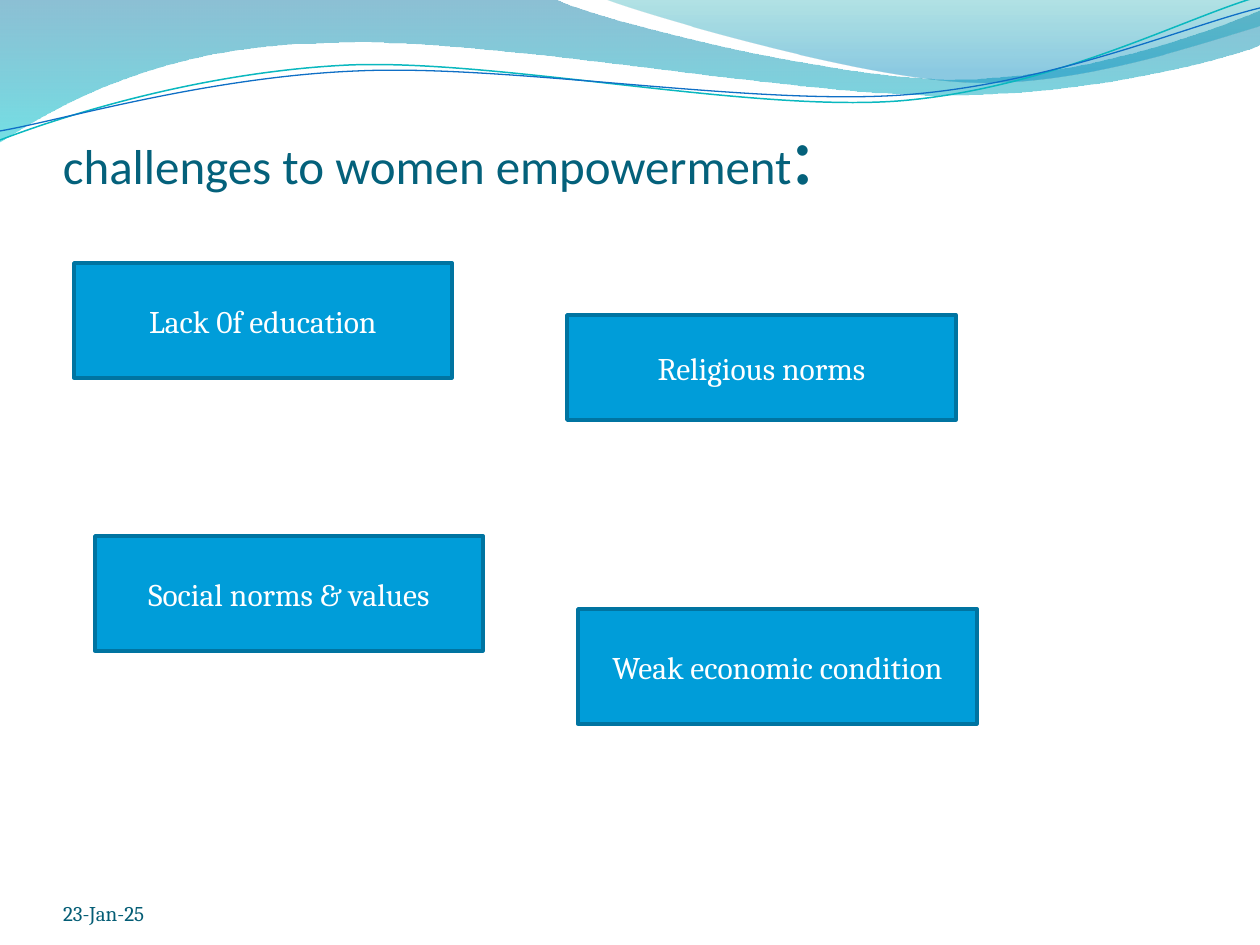
from lxml import etree
from pptx import Presentation
from pptx.dml.color import RGBColor
from pptx.enum.shapes import MSO_SHAPE as SHAPE
from pptx.enum.text import MSO_ANCHOR as ANCHOR, PP_ALIGN as ALIGN
from pptx.oxml.ns import qn
from pptx.util import Pt

PX = 914400 / 126  # EMU per pixel


def rgb(hex_str):
    return RGBColor.from_string(hex_str)


def write(sp, runs, font="Cambria", color="FFFFFF", align=ALIGN.LEFT,
          anchor=ANCHOR.BOTTOM, insets=None):
    """Fill a shape with one paragraph of (text, size) runs."""
    tf = sp.text_frame
    tf.word_wrap = True
    tf.vertical_anchor = anchor
    if insets:
        tf.margin_left, tf.margin_top, tf.margin_right, tf.margin_bottom = [
            round(v * PX) for v in insets]
    p = tf.paragraphs[0]
    p.alignment = align
    for text, size in runs:
        r = p.add_run()
        r.text = text
        r.font.name, r.font.size = font, Pt(size)
        r.font.color.rgb = rgb(color)


prs = Presentation()
prs.slide_width, prs.slide_height = round(1260 * PX), round(945 * PX)
s = prs.slides.add_slide(prs.slide_layouts[6])

# Header waves: a step of one point is a line, of three points a Bezier curve
waves = [
    {"start": (0, 0), "steps": [
        [(554, -1)],
        [(600, 21), (837, 79), (955, 79)],
        [(1075, 79), (1207, 33), (1260, 11)],
        [(1261, 45)],
        [(1239, 55), (1096, 96), (940, 95)],
        [(784, 95), (481, 35), (324, 43)],
        [(163, 45), (58, 105), (-1, 142)]],
     "stops": [(0, "0074A1", 45), (1, "00C6CF", 55)]},
    {"start": (604, -1), "steps": [
        [(641, 14), (859, 78), (969, 82)],
        [(1079, 87), (1211, 40), (1260, 26)],
        [(1260, 0)]],
     "stops": [(0, "00A1A9", 30), (0.8, "008BBF", 45)]},
    {"start": (0, 140), "steps": [
        [(60, 117), (199, 72), (349, 65)],
        [(498, 59), (747, 112), (898, 101)],
        [(1050, 89), (1182, 19), (1257, -3)]],
     "line": ("0AB8BF", 0.85)},
    {"start": (0, 131), "steps": [
        [(59, 121), (207, 77), (357, 71)],
        [(508, 64), (752, 106), (903, 95)],
        [(1053, 84), (1186, 26), (1260, 8)]],
     "line": ("0F6FC6", 0.75)},
]
for wave in waves:
    fb = s.shapes.build_freeform(*wave["start"], scale=PX)
    fb.add_line_segments(sum(wave["steps"], []), close="stops" in wave)
    sp = fb.convert_to_shape()
    sp.shadow.inherit = False
    # Join the three line segments of each curve into one Bezier segment
    segments = list(sp.element.iter(qn("a:lnTo")))
    for step in wave["steps"]:
        parts, segments = segments[:len(step)], segments[len(step):]
        if len(step) == 3:
            curve = etree.Element(qn("a:cubicBezTo"))
            parts[0].addprevious(curve)
            for part in parts:
                curve.append(part[0])
                part.getparent().remove(part)
    if "line" in wave:
        color, width = wave["line"]
        sp.fill.background()
        sp.line.color.rgb, sp.line.width = rgb(color), Pt(width)
        continue
    sp.line.fill.background()
    sp.fill.gradient()
    sp.fill.gradient_angle = 270
    gs_list = sp.element.spPr.iter(qn("a:gs"))
    for stop, gs, (pos, color, alpha) in zip(sp.fill.gradient_stops, gs_list, wave["stops"]):
        stop.position, stop.color.rgb = pos, rgb(color)
        etree.SubElement(gs[0], qn("a:alpha")).set("val", str(alpha * 1000))

# Title
sp = s.shapes.add_textbox(*[round(v * PX) for v in (63, 84, 1134, 118)])
write(sp, [("challenges to women empowerment", 28), (":", 50)],
      font="Calibri", color="04617B", insets=(0, 6, 0, 0))

# Challenge boxes
boxes = [
    ("Lack 0f education", 74, 263, 378, 115),
    ("Religious norms", 567, 315, 389, 105),
    ("Social norms & values", 95, 536, 388, 115),
    ("Weak economic condition", 578, 609, 399, 115),
]
for text, *frame in boxes:
    sp = s.shapes.add_shape(SHAPE.RECTANGLE, *[round(v * PX) for v in frame])
    sp.shadow.inherit = False
    sp.fill.solid()
    sp.fill.fore_color.rgb = rgb("009DD9")
    sp.line.color.rgb, sp.line.width = rgb("0074A1"), Pt(2)
    write(sp, [(text, 18)], align=ALIGN.CENTER, anchor=ANCHOR.MIDDLE)

# Date
sp = s.shapes.add_textbox(*[round(v * PX) for v in (63, 876, 294, 50)])
write(sp, [("23-Jan-25", 12)], color="045D75", insets=(0, 0, 0, 0))

prs.save("out.pptx")
